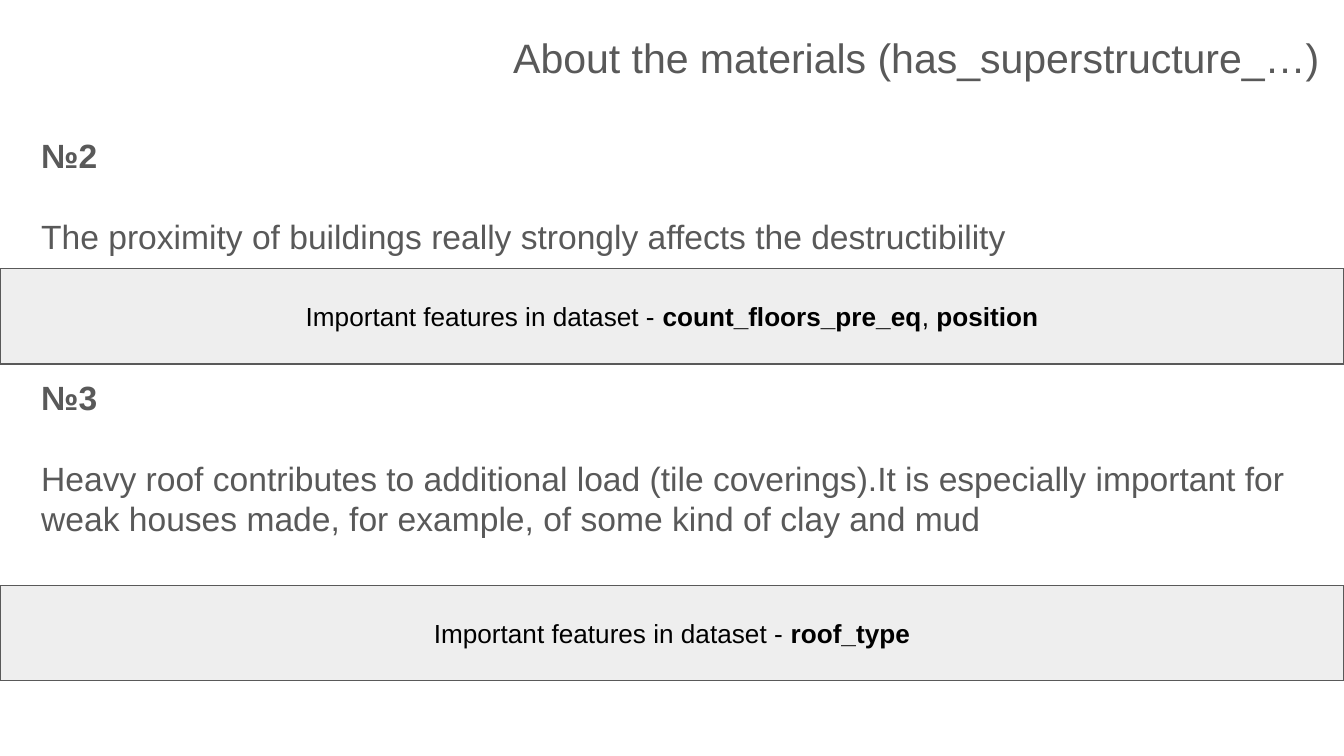
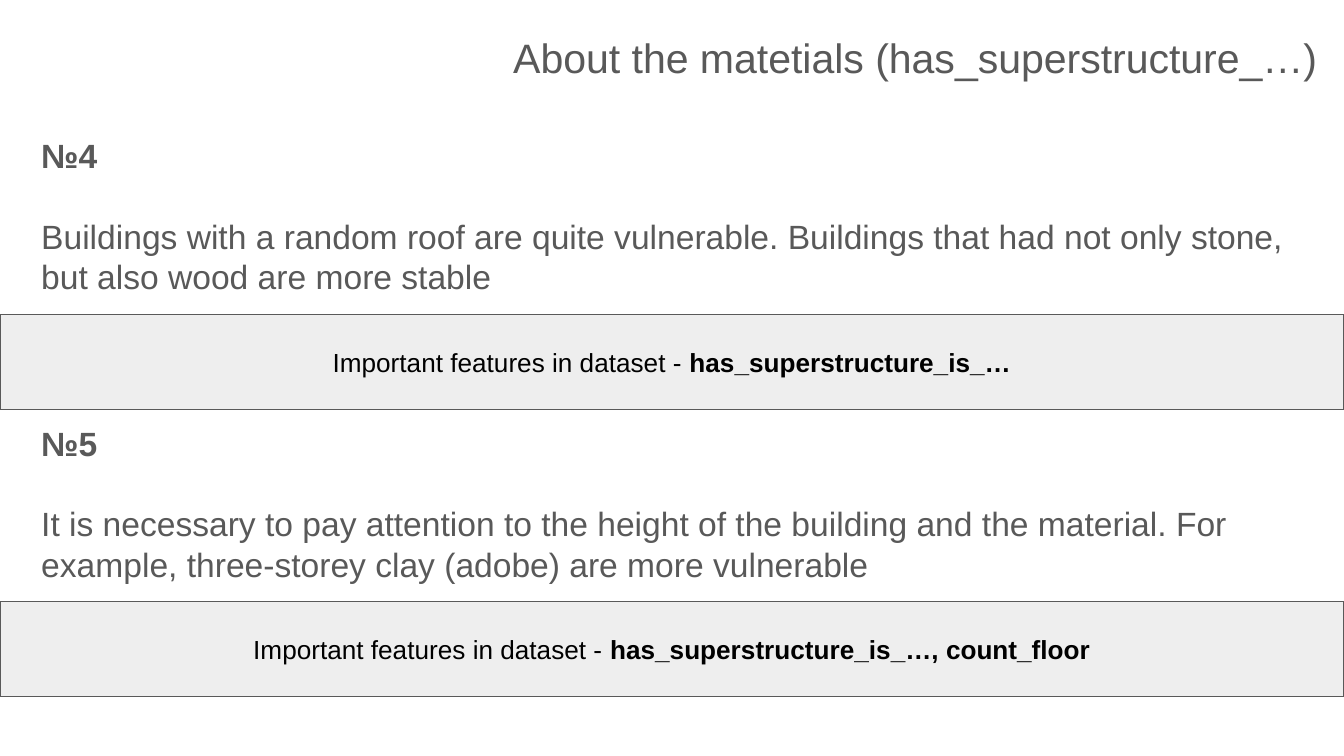
import pptx
import pptx.dml.color
import pptx.enum.shapes
import pptx.enum.text
import pptx.util

Cm = pptx.util.Cm
Pt = pptx.util.Pt
RGBColor = pptx.dml.color.RGBColor
ALIGN = pptx.enum.text.PP_ALIGN
ANCHOR = pptx.enum.text.MSO_ANCHOR

# Each note: number, text, note height (cm), gap above its band (cm), feature runs (text, bold)
SLIDES = [
    ("About the materials (has_superstructure_…)", [
        ("№2", "The proximity of buildings really strongly affects the destructibility",
         2.77, 0, [("count_floors_pre_eq", True), (", ", False), ("position", True)]),
        ("№3", "Heavy roof contributes to additional load (tile coverings).It is especially "
               "important for weak houses made, for example, of some kind of clay and mud",
         2.77, 1.42, [("roof_type", True)]),
    ]),
    ("About the matetials (has_superstructure_…)", [
        ("№4", "Buildings with a random roof are quite vulnerable. Buildings that had not only "
               "stone, but also wood are more stable",
         3.63, 0, [("has_superstructure_is_…", True)]),
        ("№5", "It is necessary to pay attention to the height of the building and the material. "
               "For example, three-storey clay (adobe) are more vulnerable",
         3.63, 0, [("has_superstructure_is_…, count_floor", True)]),
    ]),
]
FEATURES_LABEL = "Important features in dataset - "

GREY = RGBColor(0x59, 0x59, 0x59)
BLACK = RGBColor(0, 0, 0)
BAND_FILL = RGBColor(0xEE, 0xEE, 0xEE)
WHITE = RGBColor(0xFF, 0xFF, 0xFF)

TITLE_FONT = {"name": "Arial", "size": Pt(22)}
NOTE_FONT = {"name": "Arial", "size": Pt(18)}
BAND_FONT = {"name": "Arial", "size": Pt(14)}

SLIDE_WIDTH, SLIDE_HEIGHT = 25.4, 14.29
TITLE_BOX = (9.45, 0.36, 15.95, 1.27)
NOTE_LEFT, NOTE_WIDTH = 0.53, 24.38
NOTES_TOP = 2.31
BAND_HEIGHT = 1.8
NUMBER_GAP = Pt(21.6)


def set_attributes(target, values):
    for name, value in values.items():
        setattr(target, name, value)


def prepare_frame(shape, anchor):
    margins = dict.fromkeys(
        ("margin_left", "margin_top", "margin_right", "margin_bottom"), Cm(0.25))
    set_attributes(shape.text_frame,
                   {"word_wrap": True, "vertical_anchor": anchor, **margins})
    return shape.text_frame


def write_runs(paragraph, runs, font, color, alignment=ALIGN.LEFT):
    paragraph.alignment = alignment
    for text, bold in runs:
        run = paragraph.add_run()
        run.text = text
        set_attributes(run.font, {**font, "bold": bold})
        run.font.color.rgb = color


def add_text(slide, box, paragraphs, font):
    """Add a grey text box with one paragraph for each list of runs."""
    shape = slide.shapes.add_textbox(*map(Cm, box))
    frame = prepare_frame(shape, ANCHOR.TOP)
    for index, runs in enumerate(paragraphs):
        paragraph = frame.add_paragraph() if index else frame.paragraphs[0]
        if index:
            paragraph.space_before = NUMBER_GAP
        write_runs(paragraph, runs, font, GREY)


def add_band(slide, top, features):
    band = slide.shapes.add_shape(
        pptx.enum.shapes.MSO_SHAPE.RECTANGLE,
        Cm(0), Cm(top), Cm(SLIDE_WIDTH), Cm(BAND_HEIGHT))
    band.shadow.inherit = False
    band.fill.solid()
    band.fill.fore_color.rgb = BAND_FILL
    band.line.color.rgb = GREY
    band.line.width = Pt(0.75)
    frame = prepare_frame(band, ANCHOR.MIDDLE)
    write_runs(frame.paragraphs[0], [(FEATURES_LABEL, False), *features],
               BAND_FONT, BLACK, ALIGN.CENTER)


def add_notes_slide(presentation, title, notes):
    """Stack the notes down the slide, each followed by its band of features."""
    slide = presentation.slides.add_slide(presentation.slide_layouts[6])
    slide.background.fill.solid()
    slide.background.fill.fore_color.rgb = WHITE
    add_text(slide, TITLE_BOX, [[(title, False)]], TITLE_FONT)
    top = NOTES_TOP
    for number, text, height, gap, features in notes:
        add_text(slide, (NOTE_LEFT, top, NOTE_WIDTH, height),
                 [[(number, True)], [(text, False)]], NOTE_FONT)
        top += height + gap
        add_band(slide, top, features)
        top += BAND_HEIGHT


def main():
    presentation = pptx.Presentation()
    presentation.slide_width = Cm(SLIDE_WIDTH)
    presentation.slide_height = Cm(SLIDE_HEIGHT)
    for title, notes in SLIDES:
        add_notes_slide(presentation, title, notes)
    presentation.save("out.pptx")


if __name__ == "__main__":
    main()
